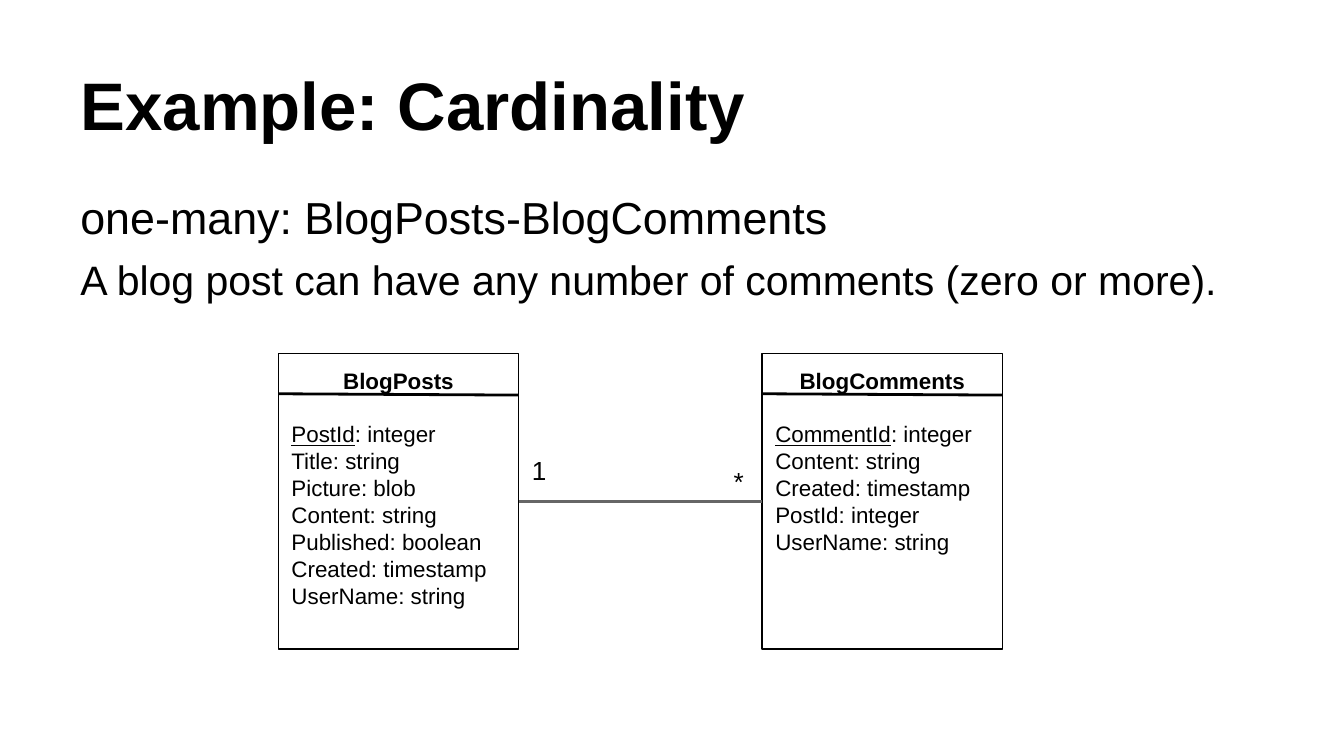
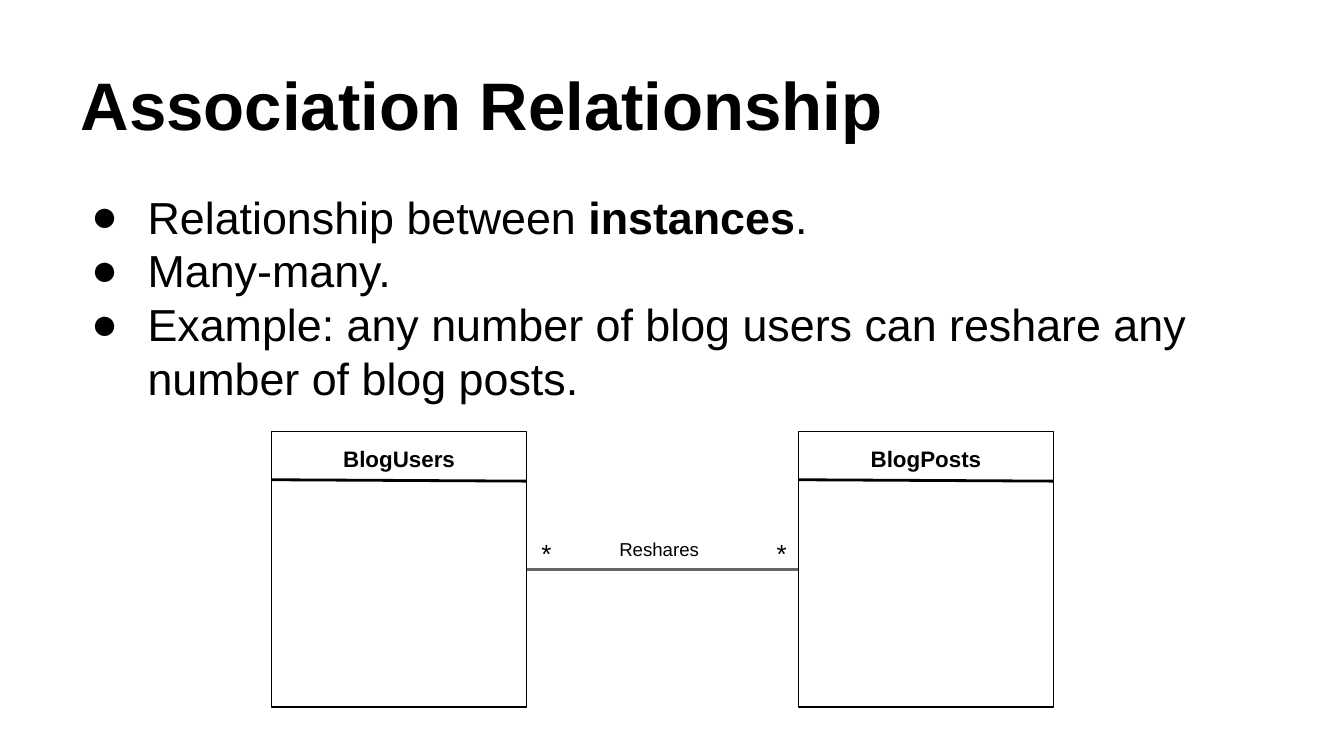
"""Build two slides on cardinality and association between blog classes."""
from dataclasses import dataclass

from lxml import etree
from pptx import Presentation
from pptx.dml.color import RGBColor
from pptx.enum.shapes import MSO_CONNECTOR, MSO_SHAPE
from pptx.enum.text import MSO_ANCHOR, MSO_AUTO_SIZE, PP_ALIGN
from pptx.oxml.ns import qn
from pptx.util import Inches, Pt

RECT = MSO_SHAPE.RECTANGLE
LINE = MSO_CONNECTOR.STRAIGHT
TOP, BOTTOM = MSO_ANCHOR.TOP, MSO_ANCHOR.BOTTOM
LEFT, CENTER = PP_ALIGN.LEFT, PP_ALIGN.CENTER
FIXED = MSO_AUTO_SIZE.NONE


@dataclass(frozen=True)
class Theme:
    font: str = "Arial"
    ink: RGBColor = RGBColor(0, 0, 0)
    link: RGBColor = RGBColor(0x66, 0x66, 0x66)
    title: int = 36
    body: int = 24
    detail: int = 22
    mark: int = 14
    entry: int = 12
    label: int = 10
    thin: float = 0.75
    thick: float = 1.5


theme = Theme()


def write(shape, lines, size, accent="bold", anchor=TOP):
    """Fill a shape with lines; text between bars takes the accent."""
    frame = shape.text_frame
    frame.word_wrap = True
    frame.auto_size = FIXED
    frame.vertical_anchor = anchor
    frame.margin_left = frame.margin_right = Inches(0.1)
    frame.margin_top = frame.margin_bottom = Inches(0.1)
    for i, line in enumerate(lines):
        para = frame.paragraphs[0] if i == 0 else frame.add_paragraph()
        para.alignment = LEFT
        for j, part in enumerate(line.split("|")):
            if part:
                run = para.add_run()
                run.text = part
                font = run.font
                font.name, font.size = theme.font, Pt(size)
                font.color.rgb = theme.ink
                if j % 2:
                    setattr(font, accent, True)
    return frame.paragraphs


def draw(slide, x1, y1, x2, y2, color):
    """Add a thick straight line without a shadow."""
    line = slide.shapes.add_connector(
        LINE, Inches(x1), Inches(y1), Inches(x2), Inches(y2))
    line.line.color.rgb = color
    line.line.width = Pt(theme.thick)
    etree.SubElement(line._element.spPr, qn("a:effectLst"))
    return line


pages = [
    dict(
        title="Example: Cardinality",
        body=["one-many: BlogPosts-BlogComments",
              "A blog post can have any number of comments (zero or more)."],
        depth=4.07, bullets=False,
        top=2.63, width=1.79, height=2.2, rule=0.3,
        tables=[
            (2.07, "BlogPosts",
             ["|PostId|: integer", "Title: string", "Picture: blob",
              "Content: string", "Published: boolean",
              "Created: timestamp", "UserName: string"]),
            (5.67, "BlogComments",
             ["|CommentId|: integer", "Content: string",
              "Created: timestamp", "PostId: integer", "UserName: string"]),
        ],
        labels=[("1", 3.86, 3.28, 0.31, 0.47, theme.mark),
                ("*", 5.36, 3.36, 0.31, 0.47, theme.mark)],
    ),
    dict(
        title="Association Relationship",
        body=["Relationship between |instances|.", "Many-many.",
              "Example: any number of blog users can reshare any number "
              "of blog posts."],
        depth=1.9, bullets=True,
        top=3.21, width=1.9, height=2.05, rule=0.36,
        tables=[(2.02, "BlogUsers", []), (5.94, "BlogPosts", [])],
        labels=[("Reshares", 4.51, 3.9, 0.93, 0.28, theme.label),
                ("*", 3.93, 3.9, 0.29, 0.28, theme.mark),
                ("*", 5.68, 3.9, 0.29, 0.28, theme.mark)],
    ),
]

deck = Presentation()
deck.slide_width = Inches(10)
deck.slide_height = deck.slide_width * 9 // 16

for page in pages:
    slide = deck.slides.add_slide(deck.slide_layouts[5])
    shapes = slide.shapes

    title = shapes.title
    title.left, title.top = Inches(0.5), Inches(0.23)
    title.width, title.height = Inches(9), Inches(0.94)
    write(title, [f"|{page['title']}|"], theme.title, anchor=BOTTOM)

    body = shapes.add_textbox(
        Inches(0.5), Inches(1.31), Inches(9), Inches(page["depth"]))
    paras = write(body, page["body"], theme.body)
    paras[0].space_before = Pt(6)
    if page["bullets"]:
        for para in paras:
            props = para._p.get_or_add_pPr()
            props.set("marL", str(Inches(0.5)))
            props.set("indent", str(Inches(-0.42)))
            tint = etree.SubElement(props, qn("a:buClr"))
            etree.SubElement(tint, qn("a:srgbClr"), val=str(theme.ink))
            etree.SubElement(props, qn("a:buFont"), typeface=theme.font)
            etree.SubElement(props, qn("a:buChar"), char="●")
    else:
        paras[1].space_before = Pt(6)
        paras[1].runs[0].font.size = Pt(theme.detail)

    top, width = page["top"], page["width"]
    boxes = []
    for left, name, fields in page["tables"]:
        box = shapes.add_shape(
            RECT, Inches(left), Inches(top),
            Inches(width), Inches(page["height"]))
        box.shadow.inherit = False
        box.fill.background()
        box.line.color.rgb = theme.ink
        box.line.width = Pt(theme.thin)
        rows = write(box, [name] + fields, theme.entry, accent="underline")
        rows[0].alignment = CENTER
        rows[0].runs[0].font.bold = True
        if fields:
            rows[1].space_before = Pt(14.4)
        rule = top + page["rule"]
        draw(slide, left, rule, left + width, rule + 0.01, theme.ink)
        boxes.append(box)

    middle = top + page["height"] / 2
    link = draw(slide, page["tables"][0][0] + width, middle,
                page["tables"][1][0], middle, theme.link)
    link.begin_connect(boxes[0], 3)
    link.end_connect(boxes[1], 1)

    for text, x, y, w, h, size in page["labels"]:
        label = shapes.add_textbox(Inches(x), Inches(y), Inches(w), Inches(h))
        write(label, [text], size)

deck.save("out.pptx")
